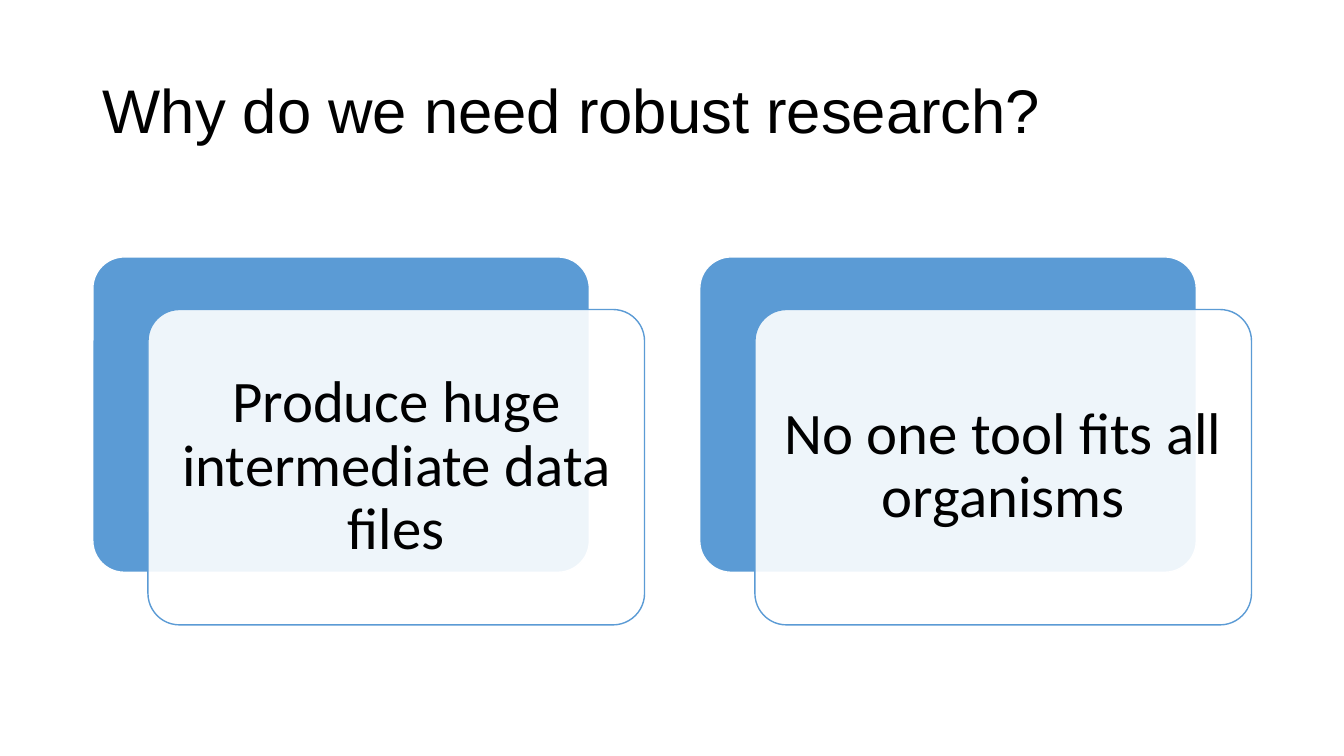
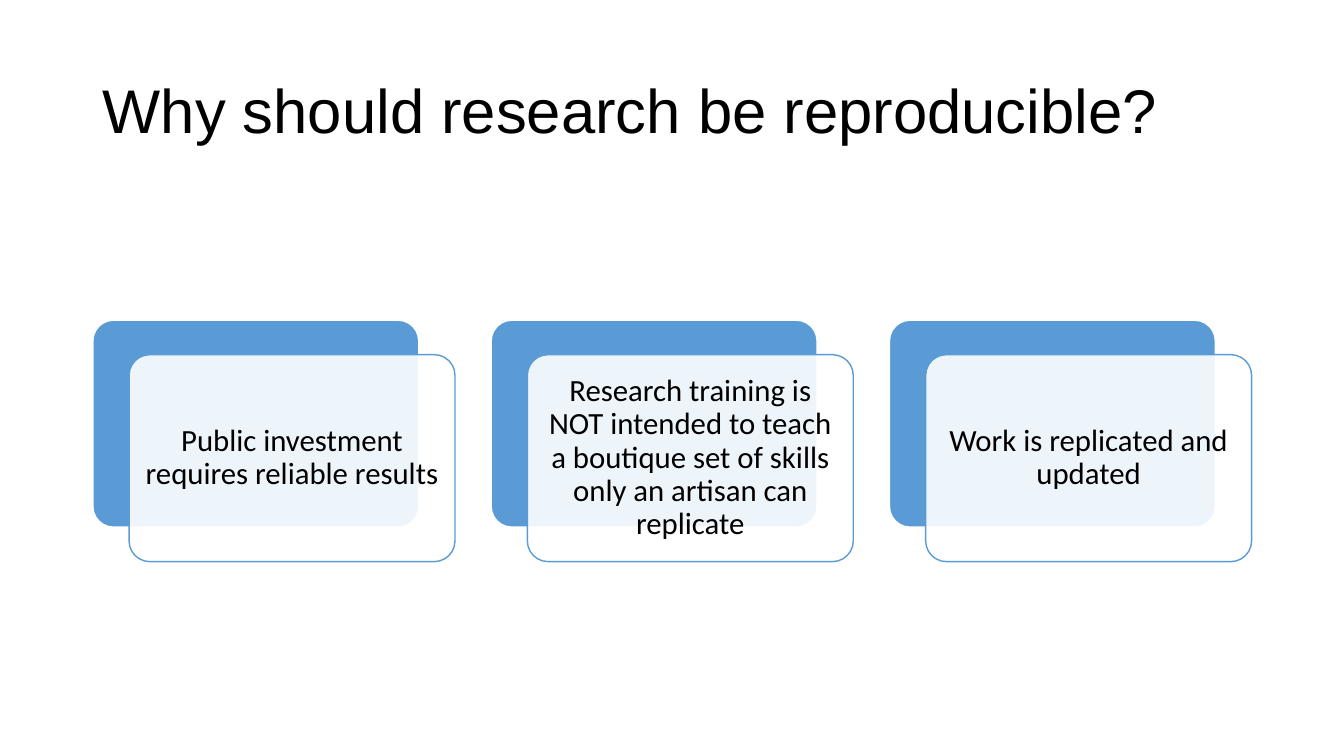
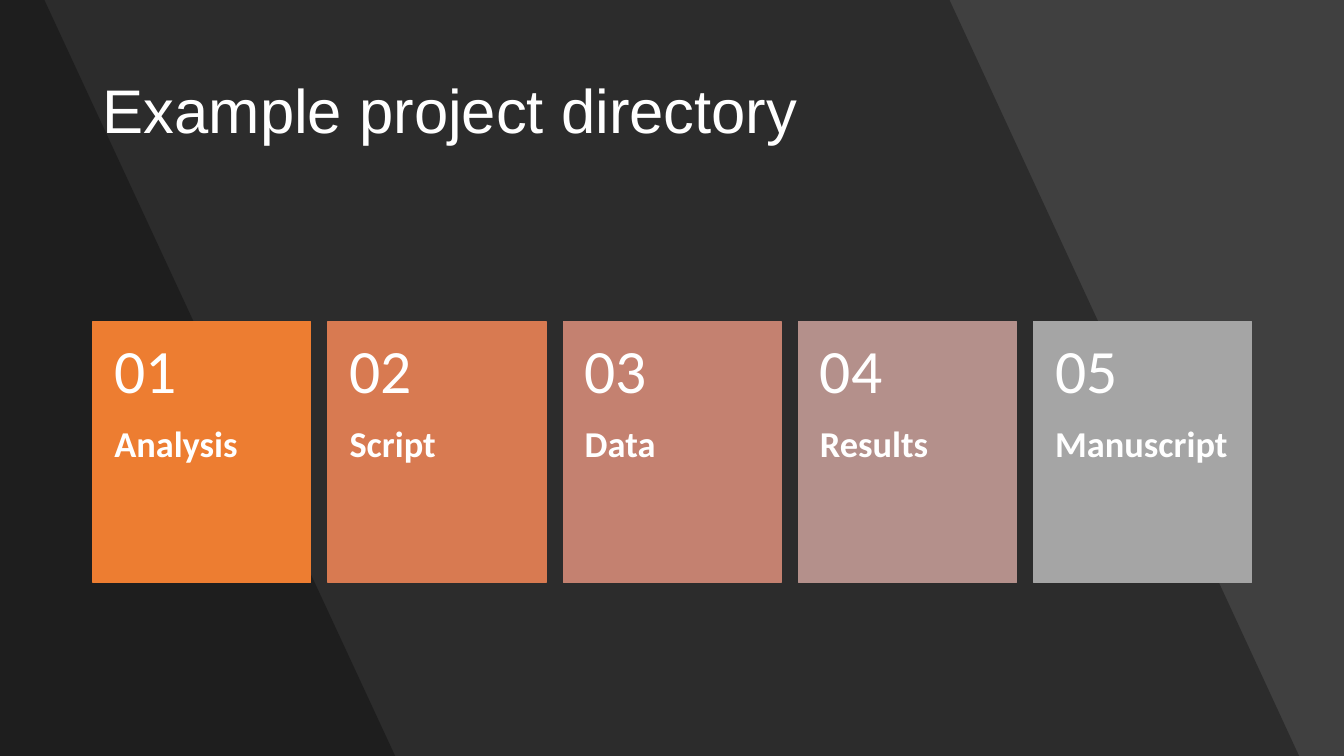
"""Build three slides on robust, reproducible research and project layout."""
import pptx
import pptx.dml.color
import pptx.enum.shapes
import pptx.enum.text
import pptx.oxml.ns
import pptx.util
from lxml import etree

Cm, Pt = pptx.util.Cm, pptx.util.Pt
SHAPE = pptx.enum.shapes.MSO_SHAPE
ANCHOR = pptx.enum.text.MSO_ANCHOR
ALIGN = pptx.enum.text.PP_ALIGN

CARD_SLIDES = [
    {
        "title": "Why do we need robust research?",
        "cards": ["Produce huge intermediate data files", "No one tool fits all organisms"],
        "size": 42,
        "inset": 0.42,
    },
    {
        "title": "Why should research be reproducible?",
        "cards": [
            "Public investment requires reliable results",
            "Research training is NOT intended to teach a boutique set of skills "
            "only an artisan can replicate",
            "Work is replicated and updated",
        ],
        "size": 22,
        "inset": 0.2,
    },
]
DIRECTORY_TITLE = "Example project directory"
FOLDERS = [
    ("Analysis", "ED7D31"),
    ("Script", "D87A51"),
    ("Data", "C48170"),
    ("Results", "B4908B"),
    ("Manuscript", "A5A5A5"),
]
SHADE_EDGES = [(23.93, 32.74), (1.12, 9.96)]

THEME = {
    "light": "FFFFFF",
    "dark": "000000",
    "accent": "5B9BD5",
    "backdrop": "404040",
    "heading_font": "Arial",
    "body_font": "Calibri",
    "heading_size": 44,
    "folder_size": 26,
}
SLIDE_WIDTH, SLIDE_HEIGHT = 33.87, 19.05
LEFT, CONTENT_WIDTH = 2.34, 29.2
CARDS_MIDDLE, FOLDERS_MIDDLE = 11.11, 11.39


def rgb(colour):
    return pptx.dml.color.RGBColor.from_string(colour)


def apply(target, values):
    for name, value in values.items():
        setattr(target, name, value)


def paint(shape, fill, line=None, opacity=None):
    shape.shadow.inherit = False
    shape.fill.solid()
    shape.fill.fore_color.rgb = rgb(fill)
    if opacity is not None:
        colour = shape.fill._xPr.find(".//" + pptx.oxml.ns.qn("a:srgbClr"))
        etree.SubElement(colour, pptx.oxml.ns.qn("a:alpha"), val=str(opacity * 1000))
    if line:
        shape.line.color.rgb = rgb(line)
        shape.line.width = Pt(1)
    else:
        shape.line.fill.background()


def write(shape, text, size, colour, font="body_font", bold=False,
          align=ALIGN.LEFT, anchor=ANCHOR.MIDDLE, insets=(0.25, 0.13, 0.25, 0.13)):
    frame = shape.text_frame
    sides = ("margin_left", "margin_top", "margin_right", "margin_bottom")
    apply(frame, {"word_wrap": True, "vertical_anchor": anchor})
    apply(frame, dict(zip(sides, map(Cm, insets))))
    paragraph = frame.paragraphs[0]
    apply(paragraph, {"text": text, "alignment": align, "line_spacing": 0.9})
    apply(paragraph.font, {"name": THEME[font], "size": Pt(size), "bold": bold})
    paragraph.font.color.rgb = rgb(colour)


def add_block(slide, kind, *box):
    return slide.shapes.add_shape(kind, *map(Cm, box))


def add_text(slide, box, text, size, colour, **style):
    write(slide.shapes.add_textbox(*map(Cm, box)), text, size, colour, **style)


def add_title(slide, text, colour):
    add_text(slide, (LEFT, 1.01, CONTENT_WIDTH, 3.68), text,
             THEME["heading_size"], colour, font="heading_font")


def add_cards(slide, cards, size, inset):
    width = CONTENT_WIDTH * 9 / (11 * len(cards) - 1)
    height = width * 0.635
    shift_x, shift_y = width / 9, height / 6
    top = CARDS_MIDDLE - (height + shift_y) / 2
    for index, text in enumerate(cards):
        left = LEFT + index * (width + 2 * shift_x)
        back = add_block(slide, SHAPE.ROUNDED_RECTANGLE, left, top, width, height)
        front = add_block(slide, SHAPE.ROUNDED_RECTANGLE,
                          left + shift_x, top + shift_y, width, height)
        for card in (back, front):
            card.adjustments[0] = 0.1
        paint(back, THEME["accent"], THEME["light"])
        paint(front, THEME["light"], THEME["accent"], opacity=90)
        write(front, text, size, THEME["dark"], align=ALIGN.CENTER, insets=(inset,) * 4)


def add_shades(slide):
    for top_edge, bottom_edge in SHADE_EDGES:
        outline = slide.shapes.build_freeform(0, 0)
        corners = [(top_edge, 0), (bottom_edge, SLIDE_HEIGHT), (0, SLIDE_HEIGHT)]
        outline.add_line_segments([(Cm(x), Cm(y)) for x, y in corners])
        paint(outline.convert_to_shape(), THEME["dark"], opacity=30)


def add_folders(slide):
    count = len(FOLDERS)
    width = CONTENT_WIDTH / (count + 0.08 * (count - 1))
    height = width * 1.2
    top = FOLDERS_MIDDLE - height / 2
    number_height = height * 0.4
    for index, (name, colour) in enumerate(FOLDERS):
        left = LEFT + index * width * 1.08
        paint(add_block(slide, SHAPE.RECTANGLE, left, top, width, height), colour, colour)
        add_text(slide, (left, top + number_height, width, height - number_height), name,
                 THEME["folder_size"], THEME["light"], bold=True,
                 anchor=ANCHOR.TOP, insets=(0.54, 0, 0.5, 0.91))
        add_text(slide, (left, top, width, number_height), f"{index + 1:02}",
                 THEME["heading_size"], THEME["light"], insets=(0.54, 0.46, 0.54, 0.46))


def main():
    deck = pptx.Presentation()
    apply(deck, {"slide_width": Cm(SLIDE_WIDTH), "slide_height": Cm(SLIDE_HEIGHT)})
    blank = deck.slide_layouts[6]
    for content in CARD_SLIDES:
        slide = deck.slides.add_slide(blank)
        add_title(slide, content["title"], THEME["dark"])
        add_cards(slide, content["cards"], content["size"], content["inset"])

    directory = deck.slides.add_slide(blank)
    directory.background.fill.solid()
    directory.background.fill.fore_color.rgb = rgb(THEME["backdrop"])
    add_shades(directory)
    add_title(directory, DIRECTORY_TITLE, THEME["light"])
    add_folders(directory)
    deck.save("out.pptx")


if __name__ == "__main__":
    main()
